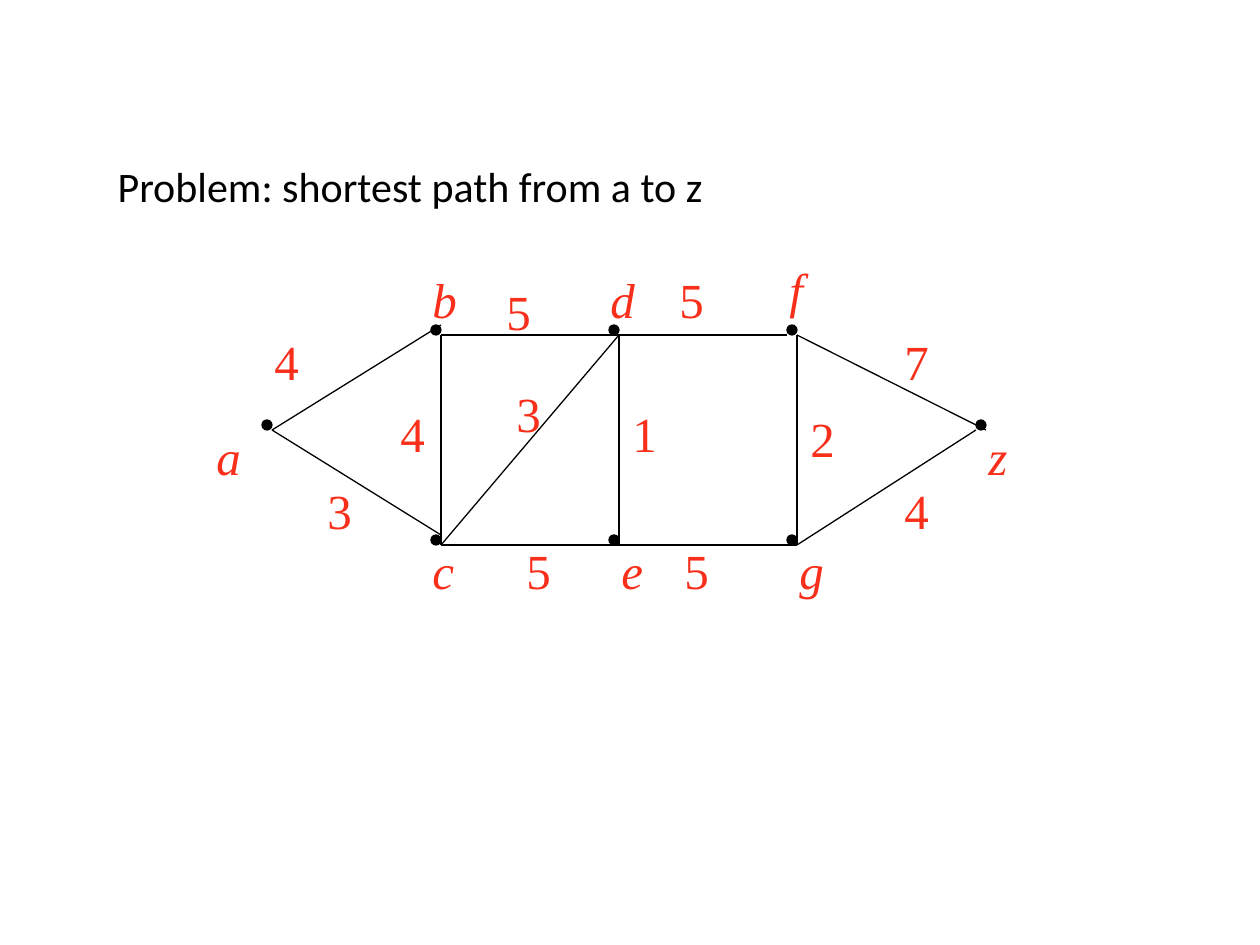
import pptx
import pptx.util
import pptx.dml.color
import pptx.enum.shapes
import pptx.enum.text
import pptx.oxml.ns
import lxml.etree

PX = 914400 / 126
COLORS = {"ink": "000000", "label": "F82F1A"}
DOT = 10
NODE_LABEL = (58, 72)
WEIGHT_LABEL = (52, 72)

# Node: dot position and label position, inside the graph box
COL_B, COL_D, COL_F = (227 + 178 * column for column in range(3))
TOP, MIDDLE, BOTTOM = 72, 167, 282
NODES = {
    "a": ((58, MIDDLE), (0, 167)),
    "b": ((COL_B, TOP), (216, 10)),
    "d": ((COL_D, TOP), (394, 10)),
    "f": ((COL_F, TOP), (573, 0)),
    "z": ((772, MIDDLE), (772, 167)),
    "c": ((COL_B, BOTTOM), (216, 281)),
    "e": ((COL_D, BOTTOM), (405, 281)),
    "g": ((COL_F, BOTTOM), (583, 281)),
}

# Edge: start node, end node, offset of the end point from the end dot
EDGES = [
    ("a", "b", (DOT, 0)), ("a", "c", (DOT, 0)),
    ("b", "f", (0, DOT)), ("c", "g", (DOT, DOT)),
    ("g", "z", (0, DOT)), ("f", "z", (DOT, DOT)),
    ("b", "c", (DOT, DOT)), ("d", "e", (DOT, DOT)),
    ("f", "g", (DOT, DOT)), ("c", "d", (DOT, DOT)),
]

# Weight and its position inside the graph box
WEIGHTS = [
    ("4", 58, 72), ("5", 290, 22), ("5", 463, 10), ("7", 688, 72),
    ("4", 688, 221), ("2", 594, 149), ("1", 416, 144), ("5", 468, 281),
    ("5", 310, 281), ("3", 111, 221), ("3", 300, 124), ("4", 184, 144),
]


def px(*lengths):
    return [pptx.util.Emu(round(length * PX)) for length in lengths]


def rgb(name):
    return pptx.dml.color.RGBColor.from_string(COLORS[name])


def style_font(paragraph, family, size, color, italic=False):
    for run in paragraph.runs:
        run.font.name = family
        run.font.size = pptx.util.Pt(size)
        run.font.italic = italic
        run.font.color.rgb = rgb(color)


def style_line(line):
    line.color.rgb = rgb("ink")
    line.width = pptx.util.Pt(0.75)


def add_problem(slide, left, top, width, height):
    problem = slide.shapes.title
    problem.left, problem.top, problem.width, problem.height = px(left, top, width, height)
    frame = problem.text_frame
    frame.text = "Problem: shortest path from a to z"
    frame.vertical_anchor = pptx.enum.text.MSO_ANCHOR.MIDDLE
    sentence = frame.paragraphs[0]
    sentence.alignment = pptx.enum.text.PP_ALIGN.LEFT
    sentence.line_spacing = 0.9
    style_font(sentence, "Calibri", 24, "ink")


def add_dot(shapes, x, y):
    dot = shapes.add_shape(pptx.enum.shapes.MSO_SHAPE.OVAL, *px(x, y, DOT, DOT))
    dot.shadow.inherit = False
    dot.fill.solid()
    dot.fill.fore_color.rgb = rgb("ink")
    style_line(dot.line)


def add_edge(shapes, x1, y1, x2, y2):
    edge = shapes.add_connector(pptx.enum.shapes.MSO_CONNECTOR.STRAIGHT, *px(x1, y1, x2, y2))
    style_line(edge.line)
    lxml.etree.SubElement(edge._element.spPr, pptx.oxml.ns.qn("a:effectLst"))


def add_label(slide, text, x, y, size, italic=False):
    label = slide.shapes.add_textbox(*px(x, y, *size))
    frame = label.text_frame
    frame.word_wrap = True
    frame.auto_size = pptx.enum.text.MSO_AUTO_SIZE.SHAPE_TO_FIT_TEXT
    frame.text = text
    style_font(frame.paragraphs[0], "Times New Roman", 28, "label", italic)


def add_graph(slide, left, top):
    # Dots and edges
    network = slide.shapes.add_group_shape().shapes
    for (x, y), _ in NODES.values():
        add_dot(network, left + x, top + y)
    for start, end, (dx, dy) in EDGES:
        (x1, y1), (x2, y2) = NODES[start][0], NODES[end][0]
        add_edge(network, left + x1 + DOT, top + y1 + DOT, left + x2 + dx, top + y2 + dy)

    # Node names and edge weights
    for name, (_, (x, y)) in NODES.items():
        add_label(slide, name, left + x, top + y, NODE_LABEL, italic=True)
    for weight, x, y in WEIGHTS:
        add_label(slide, weight, left + x, top + y, WEIGHT_LABEL)


def main():
    presentation = pptx.Presentation()
    presentation.slide_width, presentation.slide_height = px(1260, 945)
    slide = presentation.slides.add_slide(presentation.slide_layouts[5])
    add_problem(slide, 105, 147, 1061, 84)
    add_graph(slide, 204, 253)
    presentation.save("out.pptx")


if __name__ == "__main__":
    main()
